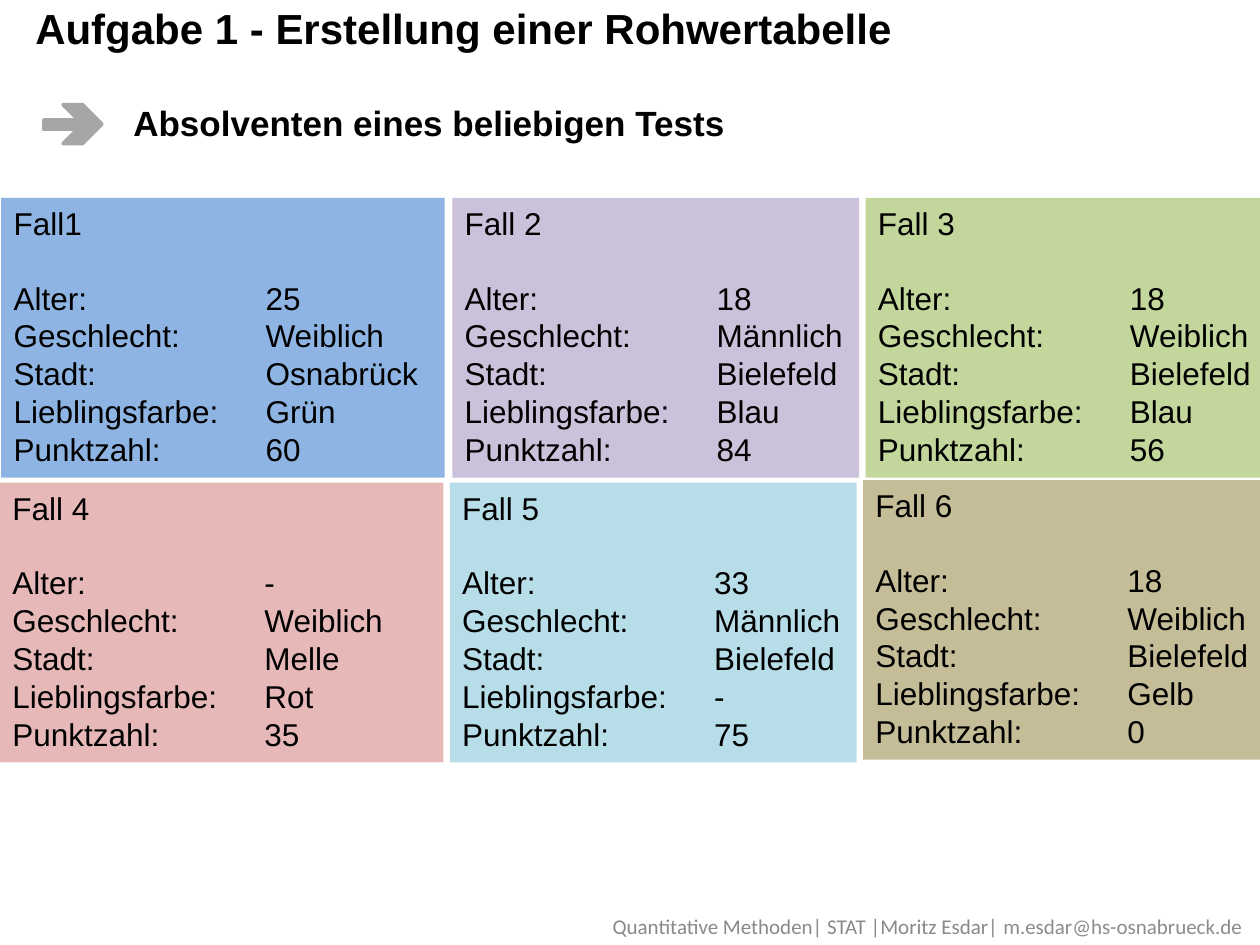
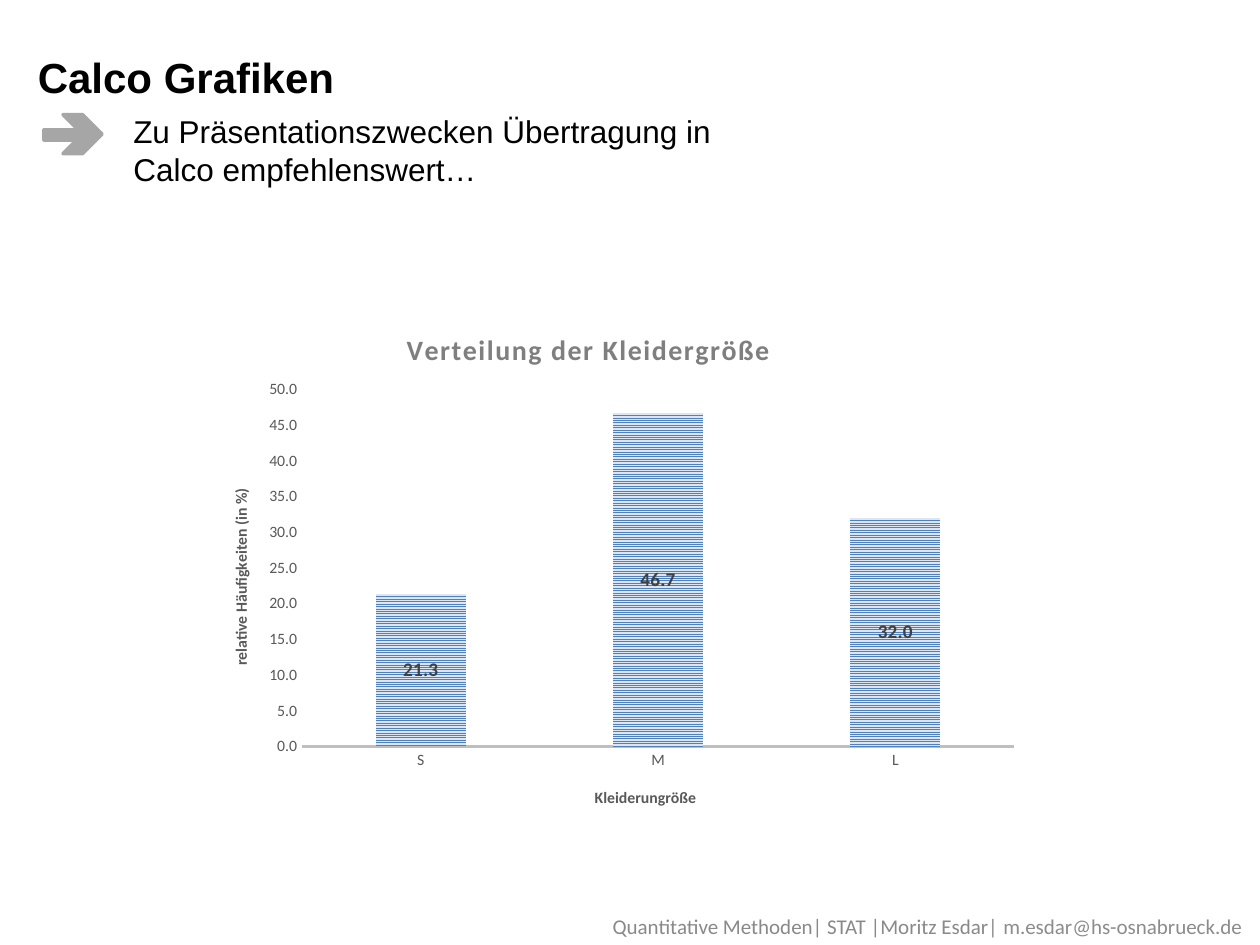
from lxml import etree
from pptx import Presentation
from pptx.chart.data import CategoryChartData
from pptx.dml.color import RGBColor
from pptx.enum.chart import XL_CHART_TYPE, XL_LABEL_POSITION, XL_TICK_MARK
from pptx.enum.dml import MSO_PATTERN
from pptx.enum.shapes import MSO_SHAPE
from pptx.enum.text import MSO_ANCHOR, MSO_AUTO_SIZE, PP_ALIGN
from pptx.oxml.ns import qn
from pptx.util import Inches, Pt

BLACK = RGBColor(0x00, 0x00, 0x00)
ARROW_GREY = RGBColor(0xA6, 0xA6, 0xA6)
FOOTER_GREY = RGBColor(0x89, 0x89, 0x89)
MAIL_GREY = RGBColor(0x8C, 0x8C, 0x8C)
CHART_TITLE_GREY = RGBColor(0x7F, 0x7F, 0x7F)
AXIS_GREY = RGBColor(0x59, 0x59, 0x59)
AXIS_LINE = RGBColor(0xBF, 0xBF, 0xBF)
LABEL_GREY = RGBColor(0x40, 0x40, 0x40)
BAR_BLUE = RGBColor(0x4F, 0x81, 0xBD)
BAR_PALE = RGBColor(0xDC, 0xE6, 0xF2)

HEADING_FONT = "Arial"
CHART_FONT = "Calibri"
NUMBER_FORMAT = "###0.0"

FIELDS = ("Alter:", "Geschlecht:", "Stadt:", "Lieblingsfarbe:", "Punktzahl:")
# Heading, left, top, width, fill, values in the order of FIELDS
CASES = (
    ("Fall1", 0.01, 1.57, 3.52, RGBColor(0x8E, 0xB4, 0xE3),
     ("25", "Weiblich", "Osnabrück", "Grün", "60")),
    ("Fall 2", 3.59, 1.57, 3.23, RGBColor(0xCC, 0xC1, 0xDA),
     ("18", "Männlich", "Bielefeld", "Blau", "84")),
    ("Fall 3", 6.87, 1.57, 3.23, RGBColor(0xC3, 0xD6, 0x9B),
     ("18", "Weiblich", "Bielefeld", "Blau", "56")),
    ("Fall 4", 0, 3.83, 3.52, RGBColor(0xE6, 0xB9, 0xB8),
     ("-", "Weiblich", "Melle", "Rot", "35")),
    ("Fall 5", 3.57, 3.83, 3.23, RGBColor(0xB7, 0xDE, 0xE8),
     ("33", "Männlich", "Bielefeld", "-", "75")),
    ("Fall 6", 6.85, 3.81, 3.23, RGBColor(0xC4, 0xBD, 0x97),
     ("18", "Weiblich", "Bielefeld", "Gelb", "0")),
)
CASE_HEIGHT = 2.22
VALUE_TAB = Inches(2)


def style_font(font, size, color, bold=False, name=HEADING_FONT):
    font.name = name
    font.size = Pt(size)
    font.bold = bold
    font.color.rgb = color


def add_run(paragraph, text, size, color=BLACK, bold=False, name=HEADING_FONT):
    run = paragraph.add_run()
    run.text = text
    style_font(run.font, size, color, bold, name)
    return run


def add_lines(frame, lines, size, bold=False):
    """Write one left-aligned paragraph per line and return them."""
    paragraphs = []
    for number, line in enumerate(lines):
        paragraph = frame.add_paragraph() if number else frame.paragraphs[0]
        paragraph.alignment = PP_ALIGN.LEFT
        add_run(paragraph, line, size, bold=bold)
        paragraphs.append(paragraph)
    return paragraphs


# Parts shared by the slides
def add_titled_slide(deck, title, left, top, width, height):
    slide = deck.slides.add_slide(deck.slide_layouts[5])
    heading = slide.shapes.title
    heading.left, heading.top = Inches(left), Inches(top)
    heading.width, heading.height = Inches(width), Inches(height)
    frame = heading.text_frame
    frame.auto_size = MSO_AUTO_SIZE.NONE
    frame.vertical_anchor = MSO_ANCHOR.TOP
    add_lines(frame, [title], 24, bold=True)
    return slide


def add_footer(slide):
    footer = slide.shapes.add_textbox(Inches(0), Inches(7.19), Inches(10), Inches(0.32))
    frame = footer.text_frame
    frame.word_wrap = True
    frame.vertical_anchor = MSO_ANCHOR.MIDDLE
    frame.margin_right = Inches(0.14)
    line = frame.paragraphs[0]
    line.alignment = PP_ALIGN.RIGHT
    add_run(line, "Quantitative Methoden| STAT |Moritz Esdar| ", 12, FOOTER_GREY, name=CHART_FONT)
    add_run(line, "m.esdar@hs-osnabrueck.de", 12, MAIL_GREY, name=CHART_FONT)


def add_key_point(slide, top, lines, size, width, height, bold=False):
    """Grey arrow followed by the statement it points at."""
    arrow = slide.shapes.add_group_shape()
    for kind, x, y, w, h in ((MSO_SHAPE.RECTANGLE, 0.35, 0.19, 0.39, 0.08),
                             (MSO_SHAPE.CHEVRON, 0.5, 0.07, 0.31, 0.31)):
        piece = arrow.shapes.add_shape(kind, Inches(x), Inches(top + y), Inches(w), Inches(h))
        piece.shadow.inherit = False
        piece.fill.solid()
        piece.fill.fore_color.rgb = ARROW_GREY
        piece.line.color.rgb = ARROW_GREY
        piece.line.width = Pt(2)
        etree.SubElement(piece.line._get_or_add_ln(), qn("a:round"))
    statement = slide.shapes.add_textbox(Inches(0.96), Inches(top), Inches(width), Inches(height))
    statement.text_frame.word_wrap = False
    add_lines(statement.text_frame, lines, size, bold)


# Case cards
def add_case(slide, heading, left, top, width, color, values):
    card = slide.shapes.add_shape(MSO_SHAPE.RECTANGLE, Inches(left), Inches(top),
                                  Inches(width), Inches(CASE_HEIGHT))
    card.shadow.inherit = False
    card.fill.solid()
    card.fill.fore_color.rgb = color
    card.line.fill.background()
    frame = card.text_frame
    frame.word_wrap = True
    frame.vertical_anchor = MSO_ANCHOR.TOP
    rows = [f"{field}\t{value}" for field, value in zip(FIELDS, values)]
    paragraphs = add_lines(frame, [heading] + rows, 18)
    paragraphs[1].space_before = Pt(21)
    for paragraph in paragraphs[1:]:
        tabs = etree.SubElement(paragraph._p.get_or_add_pPr(), qn("a:tabLst"))
        etree.SubElement(tabs, qn("a:tab"), pos=str(VALUE_TAB), algn="l")


# Chart parts
def set_layout(part, x, y, w=None, h=None):
    """Place a chart part by fractions of the chart's size."""
    for old in part.findall(qn("c:layout")):
        part.remove(old)
    layout = etree.Element(qn("c:layout"))
    manual = etree.SubElement(layout, qn("c:manualLayout"))
    entries = [("xMode", "edge"), ("yMode", "edge"), ("x", x), ("y", y)]
    if w is not None:
        entries = [("layoutTarget", "inner")] + entries + [("w", w), ("h", h)]
    for tag, value in entries:
        etree.SubElement(manual, qn(f"c:{tag}"), val=str(value))
    part.insert(0 if part.find(qn("c:tx")) is None else 1, layout)


def write_chart_title(title, text, size, color, x, y):
    run = add_run(title.text_frame.paragraphs[0], text, size, color, True, CHART_FONT)
    set_layout(title.element, x, y)
    return run


def style_axis(axis):
    axis.has_major_gridlines = False
    axis.major_tick_mark = axis.minor_tick_mark = XL_TICK_MARK.NONE
    style_font(axis.tick_labels.font, 9, AXIS_GREY, name=CHART_FONT)


def add_size_chart(slide, left, top, width, height):
    sizes = CategoryChartData(number_format=NUMBER_FORMAT)
    sizes.categories = ["S", "M", "L"]
    sizes.add_series("Series 1", (21.3, 46.7, 32.0))
    chart = slide.shapes.add_chart(XL_CHART_TYPE.COLUMN_CLUSTERED, Inches(left), Inches(top),
                                   Inches(width), Inches(height), sizes).chart
    chart.has_legend = False
    style_font(chart.font, 10, BLACK, name=CHART_FONT)
    set_layout(chart.element.find(f".//{qn('c:plotArea')}"), 0.12, 0.18, 0.86, 0.67)

    # Titles
    chart.has_title = True
    heading = write_chart_title(chart.chart_title, "Verteilung der Kleidergröße", 16,
                                CHART_TITLE_GREY, 0.24, 0.06)
    heading.font._element.set("spc", "100")
    size_axis, share_axis = chart.category_axis, chart.value_axis
    write_chart_title(size_axis.axis_title, "Kleiderungröße", 9, AXIS_GREY, 0.47, 0.92)
    share_title = share_axis.axis_title
    write_chart_title(share_title, "relative Häufigkeiten (in %)", 9, AXIS_GREY, 0.03, 0.36)
    turned = share_title.element.find(f".//{qn('a:bodyPr')}")
    turned.set("rot", "-5400000")
    turned.set("vert", "horz")

    # Axes
    style_axis(size_axis)
    size_axis.format.line.color.rgb = AXIS_LINE
    size_axis.format.line.width = Pt(1.5)
    style_axis(share_axis)
    share_axis.format.line.fill.background()
    share_axis.minimum_scale, share_axis.maximum_scale = 0, 50
    share_axis.major_unit = 5
    share_axis.tick_labels.number_format = NUMBER_FORMAT
    share_axis.tick_labels.number_format_is_linked = False

    # Columns and their values
    plot = chart.plots[0]
    plot.vary_by_categories = False
    plot.gap_width, plot.overlap = 164, -22
    columns = plot.series[0]
    columns.invert_if_negative = False
    fill = columns.format.fill
    fill.patterned()
    fill.pattern = MSO_PATTERN.NARROW_HORIZONTAL
    fill.fore_color.rgb = BAR_BLUE
    fill.back_color.rgb = BAR_PALE
    labels = columns.data_labels
    labels.show_value = True
    labels.position = XL_LABEL_POSITION.CENTER
    labels.number_format = NUMBER_FORMAT
    labels.number_format_is_linked = False
    style_font(labels.font, 11, LABEL_GREY, True, CHART_FONT)


# Slides
def build_case_slide(deck):
    slide = add_titled_slide(deck, "Aufgabe 1 - Erstellung einer Rohwertabelle",
                             0.18, -0.03, 8.43, 0.51)
    for case in CASES:
        add_case(slide, *case)
    add_footer(slide)
    add_key_point(slide, 0.76, ["Absolventen eines beliebigen Tests"], 20, 4.93, 0.44, bold=True)


def build_chart_slide(deck):
    slide = add_titled_slide(deck, "Calco Grafiken", 0.2, 0.36, 6.14, 0.5)
    add_key_point(slide, 0.84, ["Zu Präsentationszwecken Übertragung in",
                                "Calco empfehlenswert…"], 18, 4.9, 0.71)
    add_size_chart(slide, 1.61, 2.33, 6.57, 4.23)
    add_footer(slide)


def main():
    deck = Presentation()
    deck.slide_width, deck.slide_height = Inches(10), Inches(7.5)
    build_case_slide(deck)
    build_chart_slide(deck)
    deck.save("out.pptx")


if __name__ == "__main__":
    main()
